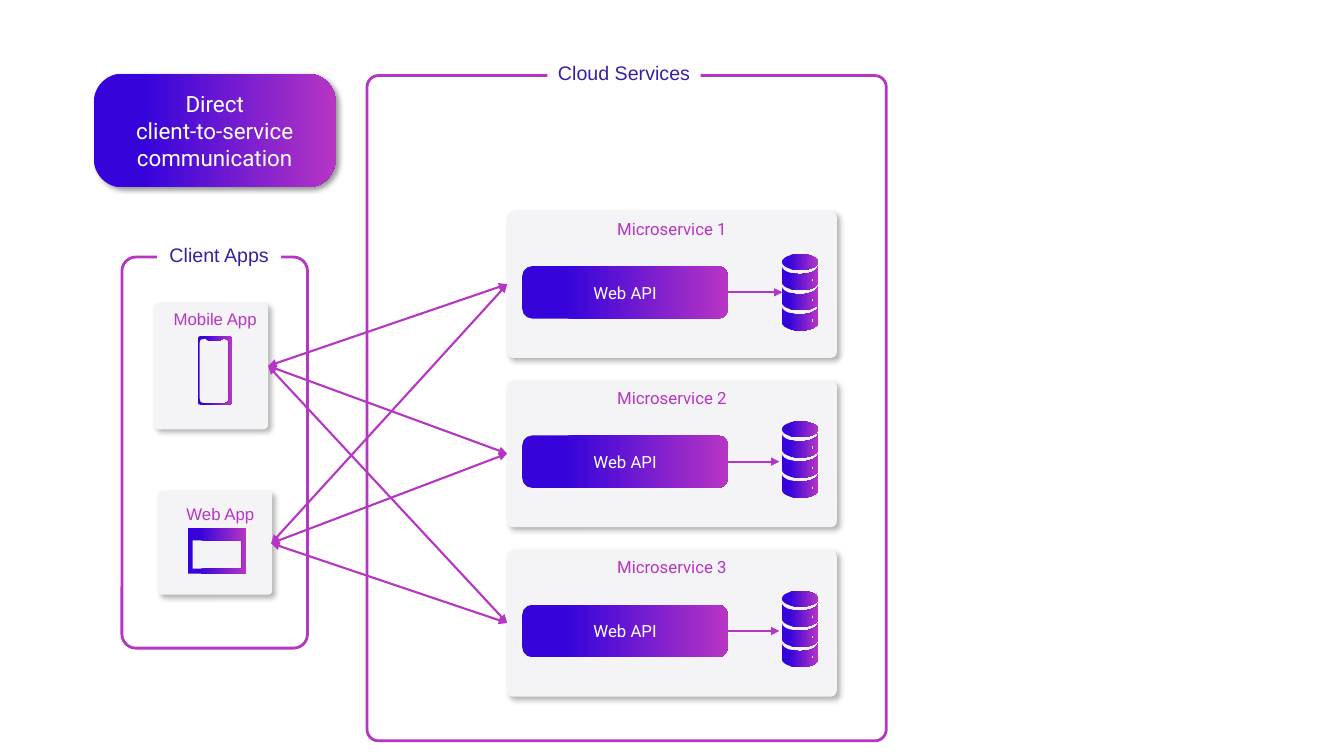
from math import cos, pi, sin
from lxml.etree import SubElement
from pptx import Presentation
from pptx.dml.color import RGBColor
from pptx.enum.shapes import MSO_CONNECTOR, MSO_SHAPE
from pptx.enum.text import MSO_ANCHOR, PP_ALIGN
from pptx.oxml.ns import qn
from pptx.util import Inches, Pt

INDIGO, BLUE, PURPLE = "3A20A0", "3604DB", "B735C4"
WHITE, GREY = "FFFFFF", "F4F3F5"
GRADIENT = "gradient"
rgb = RGBColor.from_string

prs = Presentation()
prs.slide_width, prs.slide_height = Inches(13.33), Inches(7.5)
cell = prs.slide_height / 7.5  # grid of 7.5 rows with square cells
slide = prs.slides.add_slide(prs.slide_layouts[6])
shapes = slide.shapes


def paint(s, fill, line=None, shadow=0):
    """Fill, outline and shadow (opacity in percent) of a shape."""
    s.shadow.inherit = False
    if fill == GRADIENT:
        s.fill.gradient()
        s.fill.gradient_angle = 0
        for stop, color, pos in zip(s.fill.gradient_stops, (BLUE, PURPLE), (0.21, 1)):
            stop.color.rgb, stop.position = rgb(color), pos
    elif fill:
        s.fill.solid()
        s.fill.fore_color.rgb = rgb(fill)
    else:
        s.fill.background()
    if line:
        s.line.color.rgb, s.line.width = rgb(line), Pt(2)
    else:
        s.line.fill.background()
    if shadow:
        effects = s._element.spPr.find(qn("a:effectLst"))
        outer = SubElement(effects, qn("a:outerShdw"), blurRad=str(Pt(4)),
                           dist=str(Pt(3)), dir="2700000", algn="tl", rotWithShape="0")
        color = SubElement(outer, qn("a:srgbClr"), val="000000")
        SubElement(color, qn("a:alpha"), val=str(shadow * 1000))


def box(at, fill=None, adj=0, text="", size=12, font="Roboto", color=PURPLE,
        anchor=MSO_ANCHOR.TOP, line=None, shadow=0):
    """A rectangle, rounded where adj is given, with centred text."""
    kind = MSO_SHAPE.ROUNDED_RECTANGLE if adj else MSO_SHAPE.RECTANGLE
    s = shapes.add_shape(kind, *(int(v * cell) for v in at))
    if adj:
        s.adjustments[0] = adj
    paint(s, fill, line, shadow)
    if text:
        tf = s.text_frame
        tf.text, tf.word_wrap, tf.vertical_anchor = text, True, anchor
        for p in tf.paragraphs:
            p.alignment = PP_ALIGN.CENTER
            p.font.name, p.font.size, p.font.color.rgb = font, Pt(size), rgb(color)


# Heading badge
box((0.93, 0.73, 2.4, 1.13), GRADIENT, 0.252, "Direct\nclient-to-service communication",
    16, color=WHITE, anchor=MSO_ANCHOR.MIDDLE, shadow=40)

# Frames and their captions
for frame, adj, caption, name in (
    ((1.21, 2.55, 1.84, 3.88), 0.075, (1.56, 2.36, 1.23, 0.34), "Client Apps"),
    ((3.64, 0.75, 5.15, 6.6), 0.022, (5.43, 0.56, 1.52, 0.34), "Cloud Services"),
):
    box(frame, adj=adj, line=PURPLE)
    box(caption, WHITE, text=name, size=14, font="Arial", color=INDIGO)

# Client cards
for card, label, name in (
    ((1.53, 3.01, 1.13, 1.25), (1.61, 3.01, 1.05, 0.3), "Mobile App"),
    ((1.57, 4.87, 1.13, 1.03), (1.74, 4.95, 0.89, 0.3), "Web App"),
):
    box(card, GREY, 0.039, shadow=30)
    box(label, text=name, font="Arial")

# Icon outlines: every icon is a list of contours, inner ones are holes
phone = [
    [(2, 3.33), (2.26, 3.33), (2.29, 3.34), (2.3, 3.37), (2.3, 3.98), (2.29, 4.01),
     (2.26, 4.02), (2, 4.02), (1.97, 4.01), (1.96, 3.98), (1.96, 3.37), (1.97, 3.34)],
    [(2.03, 3.36), (2.04, 3.36), (2.07, 3.38), (2.18, 3.38), (2.21, 3.36), (2.23, 3.36),
     (2.26, 3.37), (2.27, 3.4), (2.27, 3.95), (2.26, 3.99), (2.23, 4), (2.03, 4),
     (1.99, 3.99), (1.98, 3.95), (1.98, 3.4), (1.99, 3.37)],
]
browser = [
    [(1.86, 5.24), (2.44, 5.24), (2.44, 5.69), (1.86, 5.69)],
    [(1.91, 5.36), (2.4, 5.36), (2.4, 5.64), (1.91, 5.64)],
]
icons = [phone, browser]
arrows = []  # x1, y1, x2, y2, two-headed

# Microservices: one card per row
circle = [(cos(i * pi / 12), sin(i * pi / 12)) for i in range(24)]
front = [(cos(i * pi / 12), sin(i * pi / 12)) for i in range(13)]
disk_x, disk_rx, disk_ry = 7.935, 0.18, 0.08
for row, (disk_top, arrow_x) in enumerate(((0.42, 7.22), (0.4, 7.19), (0.4, 7.19))):
    y = 2.1 + 1.68 * row
    box((5.03, y, 3.27, 1.45), GREY, 0.039, f"Microservice {row + 1}", shadow=30)
    box((5.18, y + 0.54, 2.04, 0.52), GRADIENT, 0.19, "Web API", color=WHITE,
        anchor=MSO_ANCHOR.MIDDLE)
    arrows.append((arrow_x, y + 0.8, arrow_x + 0.54, y + 0.8, False))
    for client_x, client_y in ((2.66, 3.63), (2.69, 5.39)):
        arrows.append((client_x, client_y, 5.03, y + 0.72, True))
    # Database: a lid and three bands, each with a small hole
    lid_y = y + disk_top + disk_ry
    icons.append([[(disk_x + disk_rx * c, lid_y + disk_ry * k) for c, k in circle]])
    for band in range(3):
        top = lid_y + 0.04 + 0.2 * band
        upper = [(disk_x + disk_rx * c, top + disk_ry * k) for c, k in front]
        lower = [(px, py + 0.16) for px, py in reversed(upper)]
        hole = [(8.06 + 0.01 * c, top + 0.14 + 0.02 * k) for c, k in circle]
        icons.append([upper + lower, hole])

# Draw the icons
for icon in icons:
    contours = [[(px * cell, py * cell) for px, py in contour] for contour in icon]
    builder = shapes.build_freeform(*contours[0][0])
    for contour in contours:
        builder.move_to(*contour[0])
        builder.add_line_segments(contour[1:], close=True)
    paint(builder.convert_to_shape(), GRADIENT)

# Draw the arrows
for *ends, two_headed in arrows:
    s = shapes.add_connector(MSO_CONNECTOR.STRAIGHT, *(int(v * cell) for v in ends))
    s.line.color.rgb, s.line.width = rgb(PURPLE), Pt(1.5)
    ln = s.line._get_or_add_ln()
    if two_headed:
        SubElement(ln, qn("a:headEnd"), type="triangle")
    SubElement(ln, qn("a:tailEnd"), type="triangle")
    SubElement(s._element.spPr, qn("a:effectLst"))

prs.save("out.pptx")
